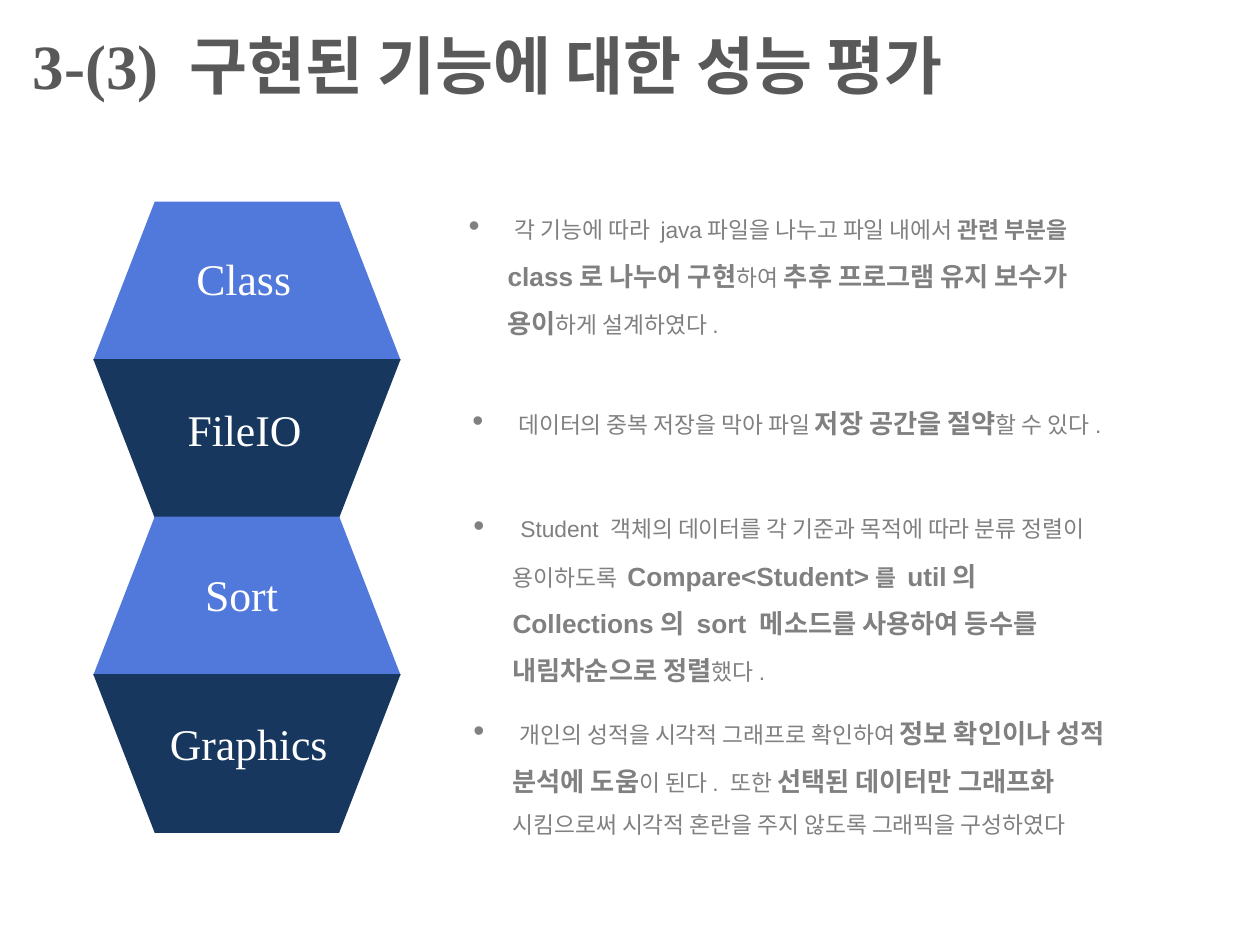
from lxml import etree
from pptx import Presentation
from pptx.dml.color import RGBColor
from pptx.enum.shapes import MSO_SHAPE
from pptx.enum.text import MSO_ANCHOR, PP_ALIGN
from pptx.oxml.ns import qn
from pptx.util import Inches, Pt

TRAPEZOID = MSO_SHAPE.FLOWCHART_MANUAL_OPERATION
TOP, LEFT = MSO_ANCHOR.TOP, PP_ALIGN.LEFT
BLUE = RGBColor(0x51, 0x79, 0xDB)
NAVY = RGBColor(0x17, 0x37, 0x5E)
WHITE = RGBColor(0xFF, 0xFF, 0xFF)
GRAY = RGBColor(0x80, 0x80, 0x80)
DARK_GRAY = RGBColor(0x59, 0x59, 0x59)
SERIF, SANS = "Times New Roman", "Arial"

STACK_LEFT, STACK_TOP = 0.74, 1.6
BLOCK_WIDTH, BLOCK_HEIGHT, BLOCK_STEP = 2.44, 1.26, 1.25

# Label, its (left, top, width)
labels = [
    ("Class", (1.46, 1.95, 1.01)),
    ("FileIO", (1.39, 3.15, 1.14)),
    ("Sort", (1.53, 4.46, 0.95)),
    ("Graphics", (1.25, 5.64, 1.5)),
]

# Box (left, top, width, height), then runs of (text, size, bold)
evaluations = [
    ((3.62, 1.44, 5.52, 1.26), [
        ("각 기능에 따라 java파일을 나누고 파일 내에서 ", 13, False),
        ("관련 부분을 ", 13, True),
        ("class로 나누어 구현", 15, True),
        ("하여", 13, False),
        (" ", 15, False),
        ("추후 프로그램 유지 보수가 용이", 15, True),
        ("하게 설계하였다.", 13, False),
    ]),
    ((3.65, 2.99, 5.27, 0.84), [
        ("데이터의 중복 저장을 막아 파일 ", 13, False),
        ("저장 공간을 절약", 15, True),
        ("할 수 있다.", 13, False),
    ]),
    ((3.66, 3.82, 5.27, 1.64), [
        ("Student 객체의 데이터를 각 기준과 목적에 따라 분류 정렬이 용이하도록 ", 13, False),
        ("Compare<Student>", 15, True),
        ("를 ", 13, True),
        ("util의 Collections의 sort 메소드를 사용하여 등수를 내림차순으로 정렬", 15, True),
        ("했다.", 13, False),
    ]),
    ((3.66, 5.45, 5.43, 1.6), [
        ("개인의 성적을 시각적 그래프로 확인하여 ", 13, False),
        ("정보 확인이나 성적 분석에 도움", 15, True),
        ("이 된다. 또한 ", 13, False),
        ("선택된 데이터만 그래프화 ", 15, True),
        ("시킴으로써 시각적 혼란을 주지 않도록 그래픽을 구성하였다", 13, False),
    ]),
]


def style(font, name, size, color, bold=False):
    font.name, font.size, font.bold = name, Pt(size), bold
    font.color.rgb = color


prs = Presentation()
prs.slide_width, prs.slide_height = Inches(10), Inches(7.5)
slide = prs.slides.add_slide(prs.slide_layouts[5])

title = slide.shapes.title
title.left, title.top = Inches(0.16), Inches(0.16)
title.width, title.height = Inches(7.9), Inches(0.71)
title.text_frame.text = "3-(3) 구현된 기능에 대한 성능 평가"
title.text_frame.word_wrap = False
title.text_frame.vertical_anchor = TOP
heading = title.text_frame.paragraphs[0]
heading.alignment = LEFT
style(heading.font, SERIF, 36, DARK_GRAY, True)

for row in range(len(labels)):
    block = slide.shapes.add_shape(
        TRAPEZOID, Inches(STACK_LEFT), Inches(STACK_TOP + row * BLOCK_STEP),
        Inches(BLOCK_WIDTH), Inches(BLOCK_HEIGHT))
    block.rotation = 0 if row % 2 else 180
    block.shadow.inherit = False
    block.fill.solid()
    block.fill.fore_color.rgb = NAVY if row % 2 else BLUE
    block.line.fill.background()

for name, (left, top, width) in labels:
    label = slide.shapes.add_textbox(
        Inches(left), Inches(top), Inches(width), Inches(0.52)).text_frame
    label.word_wrap = True
    label.text = name
    style(label.paragraphs[0].font, SERIF, 25, WHITE)

for box, runs in evaluations:
    evaluation = slide.shapes.add_textbox(*map(Inches, box)).text_frame
    evaluation.word_wrap = True
    paragraph = evaluation.paragraphs[0]
    paragraph.line_spacing = 1.5
    properties = paragraph._p.get_or_add_pPr()
    properties.set("marL", str(Inches(0.31)))
    properties.set("indent", str(Inches(-0.31)))
    etree.SubElement(properties, qn("a:buFont"), typeface=SANS)
    etree.SubElement(properties, qn("a:buChar"), char="•")
    # The leading space carries the larger bullet size
    lead = paragraph.add_run()
    lead.text = " "
    style(lead.font, SERIF, 18, GRAY)
    for text, size, bold in runs:
        run = paragraph.add_run()
        run.text = text
        style(run.font, SANS, size, GRAY, bold)

prs.save("out.pptx")
